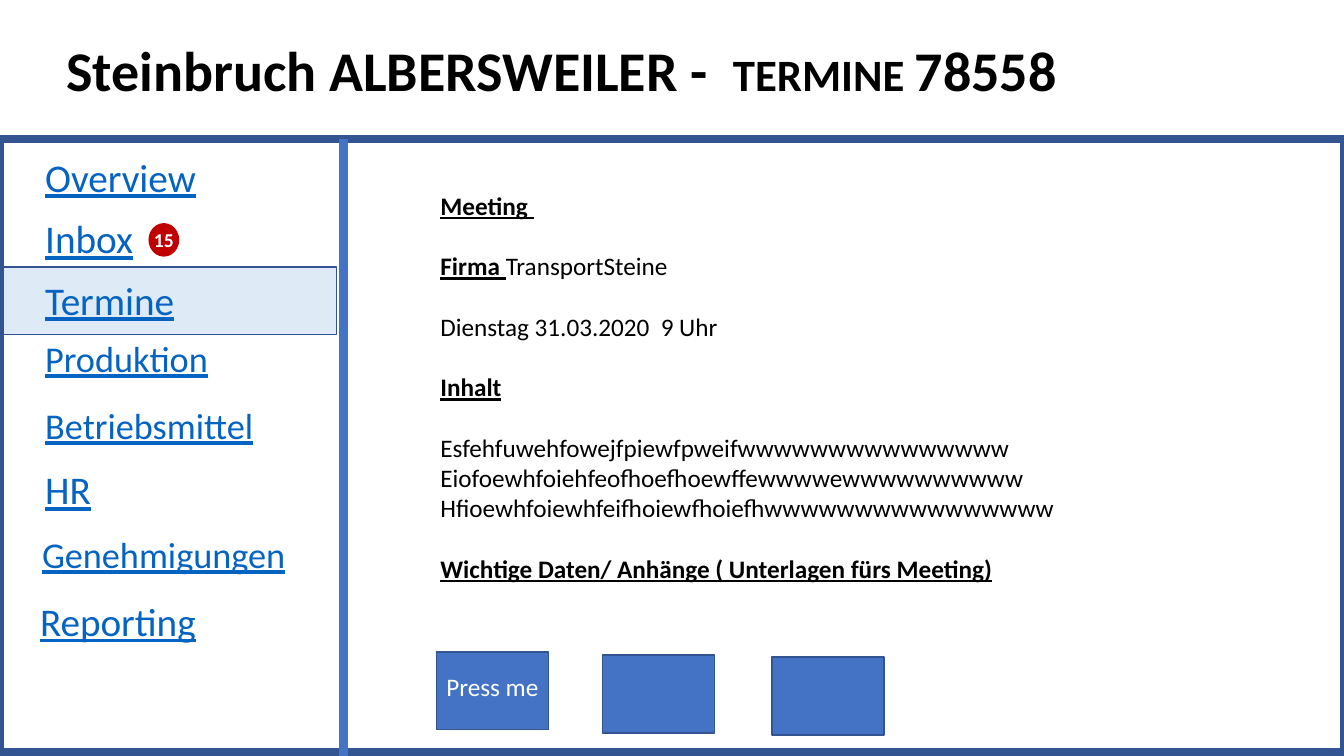
from lxml.etree import SubElement
from pptx import Presentation
from pptx.dml.color import RGBColor
from pptx.enum.shapes import MSO_CONNECTOR, MSO_SHAPE
from pptx.enum.text import MSO_ANCHOR, PP_ALIGN
from pptx.oxml.ns import qn
from pptx.util import Cm, Pt


def paint(color, code):
    color.rgb = RGBColor.from_string(code)


def style(font, size, code, bold=False, under=False):
    font.name = "Calibri"
    font.size = Pt(size)
    font.bold = bold
    font.underline = under
    paint(font.color, code)


deck = Presentation()
deck.slide_width = Cm(33.87)
deck.slide_height = Cm(19.05)
slide = deck.slides.add_slide(deck.slide_layouts[6])
shapes = slide.shapes

RECT, OVAL = MSO_SHAPE.RECTANGLE, MSO_SHAPE.OVAL
blocks = [
    (RECT, -0.05, 6.73, 8.53, 1.7, "DEEBF7", "325491", 1, "", 18),
    (RECT, 0, 3.51, 33.87, 15.44, None, "325491", 6, "", 18),
    (OVAL, 3.76, 5.64, 0.74, 0.81, "C00000", "C00000", 1, "15", 14),
    (RECT, 11, 16.43, 2.82, 1.96, "4472C4", "325491", 1, "Press me", 18),
    (RECT, 15.19, 16.51, 2.82, 1.96, "4472C4", "325491", 1, "", 18),
    (RECT, 19.46, 16.56, 2.82, 1.96, "4472C4", "325491", 1, "", 18),
]
for kind, left, top, width, height, fill, edge, weight, label, size in blocks:
    block = shapes.add_shape(kind, Cm(left), Cm(top), Cm(width), Cm(height))
    block.shadow.inherit = False
    if fill:
        block.fill.solid()
        paint(block.fill.fore_color, fill)
    else:
        block.fill.background()
    paint(block.line.color, edge)
    block.line.width = Pt(weight)
    if label:
        frame = block.text_frame
        frame.word_wrap = False
        frame.vertical_anchor = MSO_ANCHOR.MIDDLE
        frame.margin_left = frame.margin_right = 0
        frame.margin_top = 0
        frame.margin_bottom = Cm(0.2 if kind == RECT else 0)
        para = frame.paragraphs[0]
        para.text = label
        para.alignment = PP_ALIGN.CENTER
        style(para.font, size, "FFFFFF", bold=kind == OVAL)

rule = shapes.add_connector(
    MSO_CONNECTOR.STRAIGHT, Cm(8.66), Cm(3.51), Cm(8.66), Cm(19.05))
paint(rule.line.color, "4472C4")
rule.line.width = Pt(6)
SubElement(rule._element.spPr, qn("a:effectLst"))

title = shapes.add_textbox(Cm(1.42), 0, Cm(29.21), Cm(3.68)).text_frame
title.word_wrap = True
title.vertical_anchor = MSO_ANCHOR.MIDDLE
para = title.paragraphs[0]
para.line_spacing = 0.9
for text, size in [("Steinbruch ALBERSWEILER -  ", 40), ("TERMINE ", 32), ("78558", 40)]:
    run = para.add_run()
    run.text = text
    style(run.font, size, "000000", bold=True)

menu = [
    ("Overview", 0.89, 3.96, 28, 0.8),
    ("Inbox", 0.89, 5.51, 28, 0.8),
    ("Termine", 0.89, 7.06, 28, 0.8),
    ("Produktion", 0.89, 8.56, 25.9, 0.8),
    ("Betriebsmittel", 0.89, 10.16, 25.9, 0.9),
    ("HR", 0.89, 11.84, 28, 0.8),
    ("Genehmigungen", 0.81, 13.41, 25.9, 0.9),
    ("Reporting", 0.76, 15.06, 28, 0.9),
]
for text, left, top, size, space in menu:
    frame = shapes.add_textbox(Cm(left), Cm(top), Cm(6.83), Cm(1.37)).text_frame
    frame.word_wrap = True
    para = frame.paragraphs[0]
    para.text = text
    para.line_spacing = space
    style(para.font, size, "0563C1", under=True)

notice = [
    ("Meeting ", "", 0),
    ("Firma ", "TransportSteine", 21.6),
    ("", "Dienstag 31.03.2020  9 Uhr", 21.6),
    ("Inhalt", "", 21.6),
    ("", "Esfehfuwehfowejfpiewfpweifwwwwwwwwwwwwwww", 21.6),
    ("", "Eiofoewhfoiehfeofhoefhoewffewwwwewwwwwwwwww", 0),
    ("", "Hfioewhfoiewhfeifhoiewfhoiefhwwwwwwwwwwwwwwww", 0),
    ("Wichtige Daten/ Anhänge ( Unterlagen fürs Meeting)", "", 21.6),
]
body = shapes.add_textbox(Cm(10.85), Cm(4.67), Cm(17.32), Cm(11.79)).text_frame
body.word_wrap = True
for index, (head, plain, gap) in enumerate(notice):
    para = body.add_paragraph() if index else body.paragraphs[0]
    if gap:
        para.space_before = Pt(gap)
    for text, strong in [(head, True), (plain, False)]:
        if text:
            run = para.add_run()
            run.text = text
            style(run.font, 18, "000000", bold=strong, under=strong)

deck.save("out.pptx")
